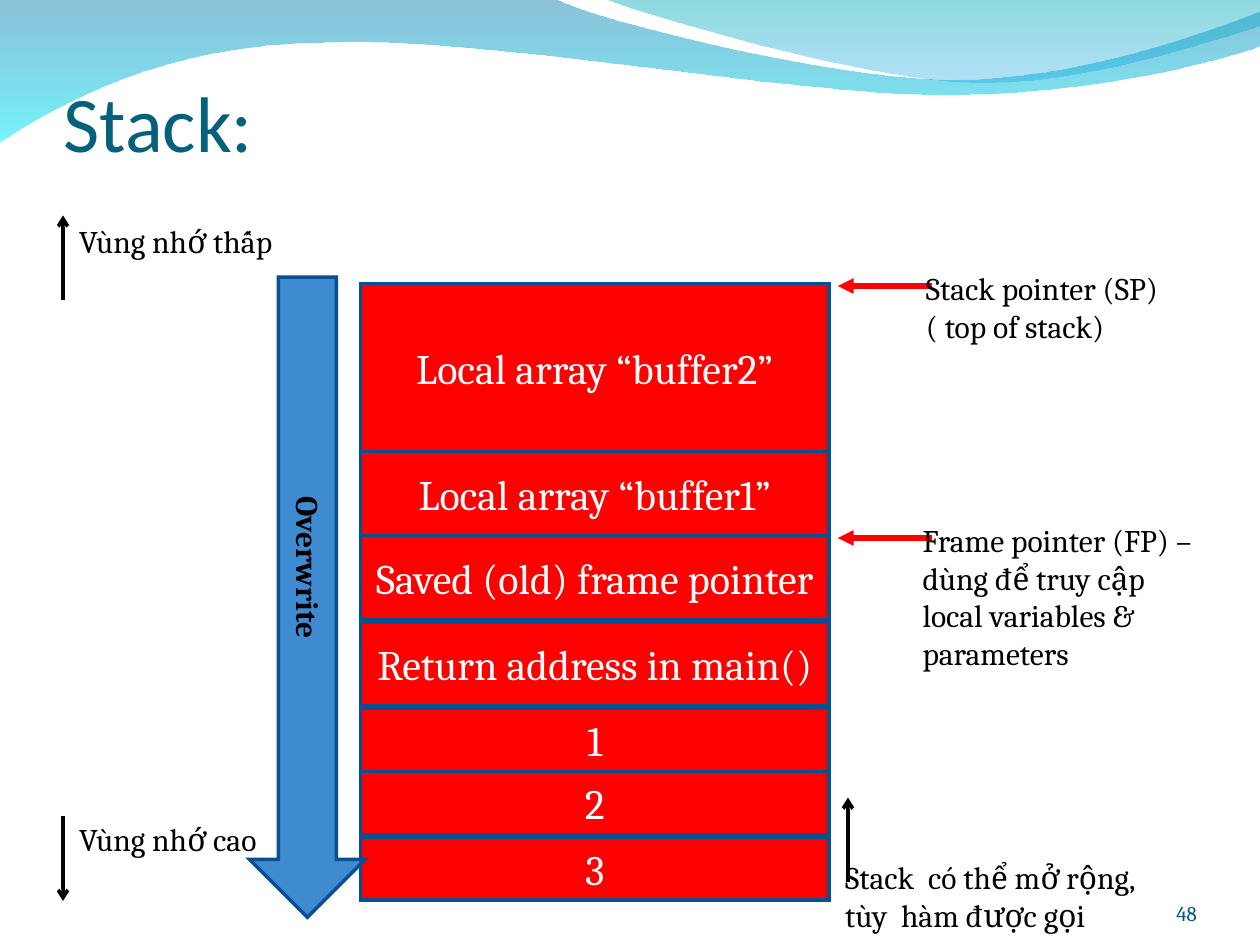
from typing import NamedTuple
from lxml.etree import SubElement
from pptx import Presentation
from pptx.dml.color import RGBColor
from pptx.enum.shapes import MSO_CONNECTOR, MSO_SHAPE
from pptx.enum.text import MSO_ANCHOR, MSO_AUTO_SIZE, PP_ALIGN
from pptx.oxml.ns import qn
from pptx.util import Inches, Pt

COLS, ROWS = 100, 75
prs = Presentation()
prs.slide_width, prs.slide_height = Inches(10), Inches(7.5)
CELL_W, CELL_H = prs.slide_width / COLS, prs.slide_height / ROWS
BLACK, WHITE, RED, NAVY, BLUE = "000000", "FFFFFF", "FF0000", "085091", "0F6FC6"


class Stop(NamedTuple):
    color: str
    opacity: int


class Wave(NamedTuple):
    start: tuple
    segments: list
    stops: list


class Frame(NamedTuple):
    text: str
    height: float
    gap: float = 0


class Label(NamedTuple):
    text: str
    col: float
    row: float
    cols: float
    rows: float = 4


class Arrow(NamedTuple):
    start: tuple
    end: tuple
    color: str = BLACK
    width: float = 2
    head: str = "arrow"


WAVES = [
    Wave((0, -0.1),
         [[(44, -0.1)],
          [(47.6, 1.7), (66.4, 6.3), (75.8, 6.3)],
          [(85.3, 6.3), (95.8, 2.6), (100, 0.9)],
          [(100.1, 3.6)],
          [(98.3, 4.4), (87, 7.6), (74.6, 7.5)],
          [(62.2, 7.5), (38.2, 2.8), (25.7, 3.4)],
          [(12.9, 3.5), (4.6, 8.3), (-0.1, 11.3)]],
         [Stop("0079AF", 45), Stop("00EBF8", 55)]),
    Wave((47.9, -0.1),
         [[(50.9, 1.1), (68.2, 6.2), (76.9, 6.5)],
          [(85.6, 6.9), (96.1, 3.2), (100, 2.1)],
          [(100, 0)]],
         [Stop("00ADB6", 45), Stop("009BE5", 30)]),
]
FRAMES = [
    Frame("Local array “buffer2”", 13.33),
    Frame("Local array “buffer1”", 6.67),
    Frame("Saved (old) frame pointer", 6.67),
    Frame("Return address in main()", 6.67, 0.2),
    Frame("1", 5, 0.2),
    Frame("2", 5),
    Frame("3", 5, 0.2),
]
ARROWS = [
    Arrow((5, 23.8), (5, 17.1)),
    Arrow((5, 64.8), (5, 71.5)),
    Arrow((67.3, 70), (67.3, 63.3)),
    Arrow((74, 22.7), (66.5, 22.7), RED, 3, "triangle"),
    Arrow((74, 42.7), (66.5, 42.7), RED, 3, "triangle"),
]
LABELS = [
    Label("Vùng nhớ thấp", 5.3, 17.1, 19.6),
    Label("Vùng nhớ cao", 5.3, 64.6, 18.3),
    Label("Stack pointer (SP)\n( top of stack)", 72.5, 20.84, 23, 7),
    Label("Frame pointer (FP) –\ndùng để truy cập\nlocal variables &\nparameters",
          72.24, 40.84, 26.4, 13),
    Label("Stack  có thể mở rộng,\ntùy  hàm được gọi", 66.1, 67.6, 28.1, 7),
]


def rgb(color: str) -> RGBColor:
    return RGBColor.from_string(color)


def x(col: float) -> int:
    return round(col * CELL_W)


def y(row: float) -> int:
    return round(row * CELL_H)


def write(sp, text: str, *, size: float = 18, font: str = "Cambria", color: str = BLACK,
          bold: bool = False, align=PP_ALIGN.LEFT, anchor=MSO_ANCHOR.TOP,
          insets: tuple = (0.1, 0.05, 0.1, 0.05), wrap: bool = True) -> None:
    tf = sp.text_frame
    tf.word_wrap = wrap
    tf.auto_size = MSO_AUTO_SIZE.NONE if wrap else MSO_AUTO_SIZE.SHAPE_TO_FIT_TEXT
    tf.vertical_anchor = anchor
    tf.margin_left, tf.margin_top, tf.margin_right, tf.margin_bottom = map(Inches, insets)
    for i, line in enumerate(text.split("\n")):
        p = tf.paragraphs[0] if i == 0 else tf.add_paragraph()
        p.alignment = align
        r = p.add_run()
        r.text = line
        r.font.size, r.font.name, r.font.bold = Pt(size), font, bold
        r.font.color.rgb = rgb(color)


def add_label(shapes, label: Label, **fmt):
    sp = shapes.add_textbox(x(label.col), y(label.row), x(label.cols), y(label.rows))
    write(sp, label.text, **fmt)
    return sp


def add_block(shapes, kind, col: float, row: float, cols: float, rows: float, fill: str):
    sp = shapes.add_shape(kind, x(col), y(row), x(cols), y(rows))
    sp.shadow.inherit = False
    sp.fill.solid()
    sp.fill.fore_color.rgb = rgb(fill)
    sp.line.color.rgb = rgb(NAVY)
    sp.line.width = Pt(2)
    SubElement(sp.line._get_or_add_ln(), qn("a:miter"), lim="800000")
    return sp


def add_arrow(shapes, arrow: Arrow) -> None:
    (c1, r1), (c2, r2) = arrow.start, arrow.end
    sp = shapes.add_connector(MSO_CONNECTOR.STRAIGHT, x(c1), y(r1), x(c2), y(r2))
    sp.line.color.rgb = rgb(arrow.color)
    sp.line.width = Pt(arrow.width)
    SubElement(sp.line._get_or_add_ln(), qn("a:tailEnd"), type=arrow.head)
    SubElement(sp._element.spPr, qn("a:effectLst"))


def curve_segments(sp, segments: list) -> None:
    lines = list(sp._element.spPr.iter(qn("a:lnTo")))
    for segment in segments:
        group, lines = lines[:len(segment)], lines[len(segment):]
        if len(group) == 3:
            group[0].tag = qn("a:cubicBezTo")
            for line in group[1:]:
                group[0].append(line[0])
                line.getparent().remove(line)


def add_wave(shapes, wave: Wave) -> None:
    points = [wave.start] + [pt for segment in wave.segments for pt in segment]
    outline = [(x(c), y(r)) for c, r in points]
    builder = shapes.build_freeform(*outline[0])
    builder.add_line_segments(outline[1:], close=True)
    sp = builder.convert_to_shape()
    curve_segments(sp, wave.segments)
    sp.shadow.inherit = False
    sp.line.fill.background()
    sp.fill.gradient()
    grad = sp._element.spPr.find(qn("a:gradFill"))
    for child in list(grad):
        grad.remove(child)
    stops = SubElement(grad, qn("a:gsLst"))
    for pos, stop in zip((0, 100000), wave.stops):
        gs = SubElement(stops, qn("a:gs"), pos=str(pos))
        clr = SubElement(gs, qn("a:srgbClr"), val=stop.color)
        SubElement(clr, qn("a:alpha"), val=str(stop.opacity * 1000))
    SubElement(grad, qn("a:lin"), ang="5400000", scaled="0")


def add_stack(shapes, frames: list, col: float, row: float, cols: float) -> None:
    for frame in frames:
        row += frame.gap
        sp = add_block(shapes, MSO_SHAPE.RECTANGLE, col, row, cols, frame.height, RED)
        write(sp, frame.text, size=24, color=WHITE, align=PP_ALIGN.CENTER,
              anchor=MSO_ANCHOR.MIDDLE)
        row += frame.height


def add_overwrite(shapes) -> None:
    group = shapes.add_group_shape().shapes
    sp = add_block(group, MSO_SHAPE.DOWN_ARROW, 19.8, 22, 9.2, 50.8, BLUE)
    clr = sp._element.spPr.find(qn("a:solidFill")).find(qn("a:srgbClr"))
    SubElement(clr, qn("a:alpha"), val="80000")
    add_label(group, Label("Overwrite", 17, 43.9, 15), bold=True, wrap=False).rotation = 90


def main() -> None:
    s = prs.slides.add_slide(prs.slide_layouts[6])
    for wave in WAVES:
        add_wave(s.shapes, wave)
    add_label(s.shapes, Label("Stack:", 5.04, 7.74, 90, 5.6), size=45, font="Calibri",
              color="04617B", anchor=MSO_ANCHOR.BOTTOM, insets=(0, 0.05, 0, 0))
    add_label(s.shapes, Label("48", 86.7, 69.5, 8.3), size=12, color="045C75",
              align=PP_ALIGN.RIGHT, anchor=MSO_ANCHOR.BOTTOM, insets=(0, 0, 0, 0))
    add_stack(s.shapes, FRAMES, 28.6, 22.5, 37.2)
    for arrow in ARROWS:
        add_arrow(s.shapes, arrow)
    for label in LABELS:
        add_label(s.shapes, label, wrap=False)
    add_overwrite(s.shapes)
    prs.save("out.pptx")


if __name__ == "__main__":
    main()
